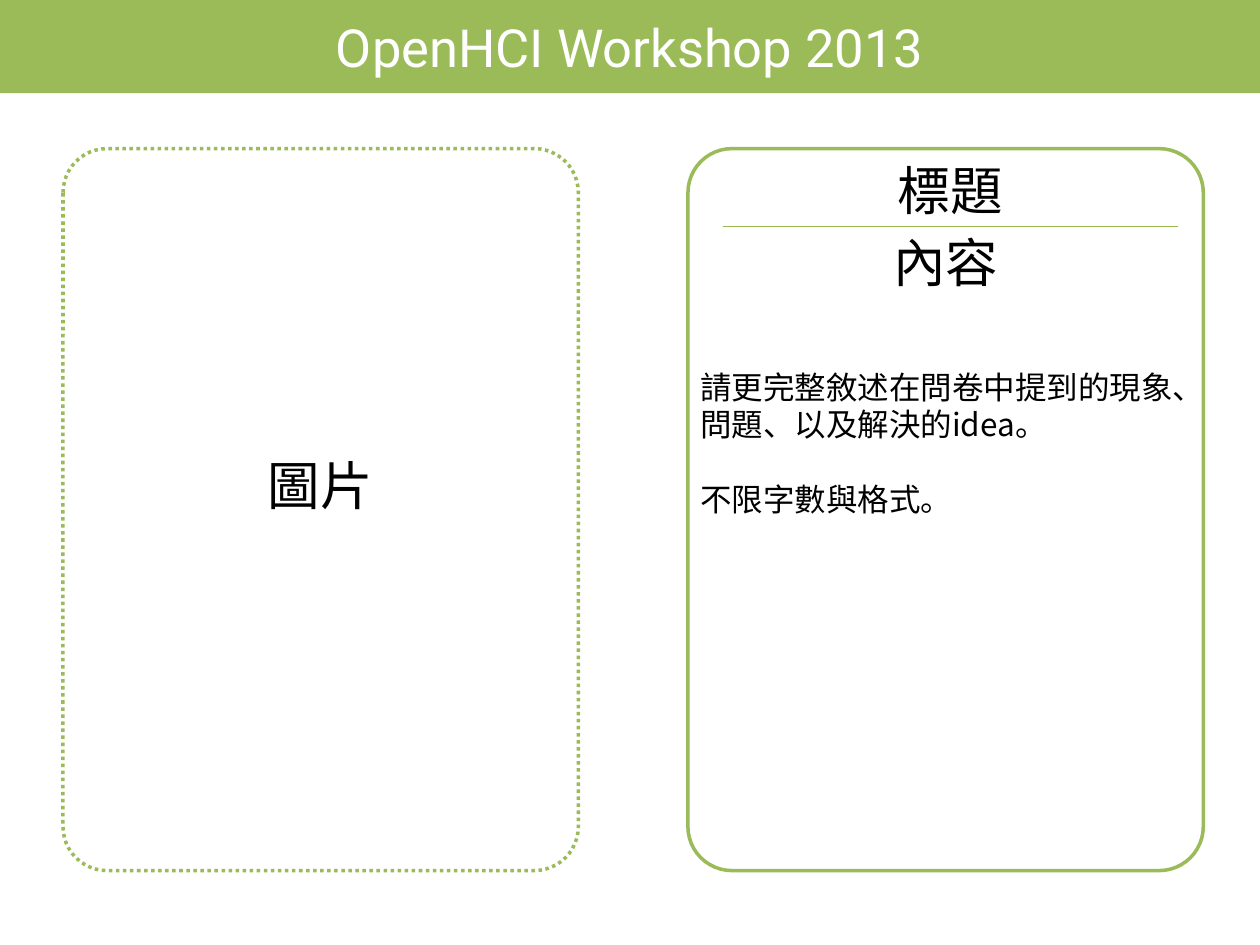
from lxml import etree
from pptx import Presentation
from pptx.dml.color import RGBColor
from pptx.enum import dml, shapes, text
from pptx.oxml import ns
from pptx.util import Inches, Pt

GREEN = RGBColor(0x9B, 0xBB, 0x59)
RULE = RGBColor(0x98, 0xB9, 0x54)
WHITE = RGBColor(0xFF, 0xFF, 0xFF)
BLACK = RGBColor(0, 0, 0)
LATIN = "Roboto"
HAN = "Noto Sans CJK SC"
PITCH = 1.19
MID = text.PP_ALIGN.CENTER
LEFT = text.PP_ALIGN.LEFT


def style(para, words, size, face, color, align):
    para.text = words
    para.alignment = align
    font = para.font
    font.size = Pt(size)
    font.color.rgb = color
    font.name = face
    props = para._p.pPr.find(ns.qn("a:defRPr"))
    etree.SubElement(props, ns.qn("a:ea")).set("typeface", face)


def label(slide, box, lines):
    frame = slide.shapes.add_textbox(*map(Inches, box)).text_frame
    frame.word_wrap = True
    frame.margin_top = Inches(0.08)
    for i, (words, size, align, gap) in enumerate(lines):
        para = frame.add_paragraph() if i else frame.paragraphs[0]
        style(para, words, size, HAN, BLACK, align)
        para.line_spacing = Pt(size * PITCH)
        para.space_before = Pt(gap * size * PITCH)


def banner(slide, box, words):
    bar = slide.shapes.add_shape(shapes.MSO_SHAPE.RECTANGLE, *map(Inches, box))
    bar.shadow.inherit = False
    bar.fill.solid()
    bar.fill.fore_color.rgb = GREEN
    bar.line.fill.background()
    bar.text_frame.vertical_anchor = text.MSO_ANCHOR.MIDDLE
    style(bar.text_frame.paragraphs[0], words, 30, LATIN, WHITE, MID)


def panel(slide, box, dash=None):
    card = slide.shapes.add_shape(
        shapes.MSO_SHAPE.ROUNDED_RECTANGLE, *map(Inches, box))
    card.shadow.inherit = False
    card.adjustments[0] = 0.35 / box[2]
    card.fill.solid()
    card.fill.fore_color.rgb = WHITE
    card.line.color.rgb = GREEN
    card.line.width = Pt(2)
    if dash:
        card.line.dash_style = dash


def figure(slide, box):
    x, y, w, h = box
    panel(slide, box, dml.MSO_LINE.ROUND_DOT)
    label(slide, (x + 0.24, y + 2.34, 3.6, 0.6), [("圖片", 30, MID, 0)])


def story(slide, box):
    x, y, w, h = box
    panel(slide, box)
    label(slide, (x + 0.28, y, 3.6, 0.6), [("標題", 30, MID, 0)])
    rule = slide.shapes.add_connector(
        shapes.MSO_CONNECTOR.STRAIGHT,
        *map(Inches, (x + 0.28, y + 0.62, x + 3.89, y + 0.62)))
    rule.line.color.rgb = RULE
    rule.line.width = Pt(0.75)
    etree.SubElement(rule._element.spPr, ns.qn("a:effectLst"))
    label(slide, (x, y + 0.57, w, 4.9), [
        ("內容", 30, MID, 0),
        ("請更完整敘述在問卷中提到的現象、問題、以及解決的idea。", 18, LEFT, 2),
        ("不限字數與格式。", 18, LEFT, 1),
    ])


def main():
    deck = Presentation()
    deck.slide_width, deck.slide_height = Inches(10), Inches(7.5)
    slide = deck.slides.add_slide(deck.slide_layouts[6])
    banner(slide, (0, 0, 10, 0.74), "OpenHCI Workshop 2013")
    figure(slide, (0.5, 1.18, 4.09, 5.73))
    story(slide, (5.46, 1.18, 4.09, 5.73))
    deck.save("out.pptx")


if __name__ == "__main__":
    main()
